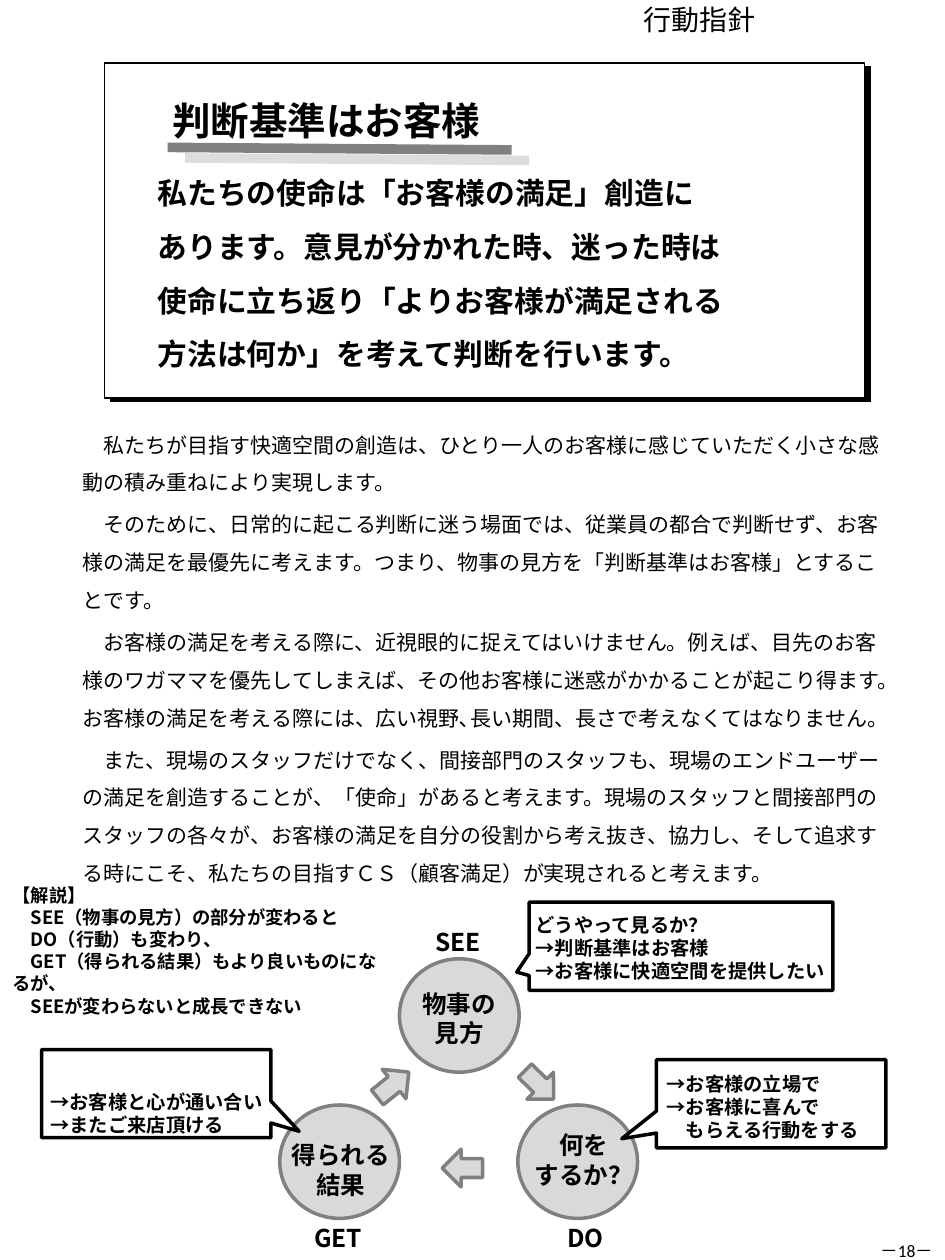
import pptx
import pptx.util
from pptx.dml.color import RGBColor
from pptx.enum.shapes import MSO_CONNECTOR, MSO_SHAPE
from pptx.enum.text import MSO_AUTO_SIZE, PP_ALIGN
from pptx.oxml import parse_xml
from pptx.oxml.ns import nsdecls, qn
from pptx.util import Inches, Pt

BLACK = RGBColor(0, 0, 0)
WHITE = RGBColor(255, 255, 255)
GRAY = RGBColor(0x80, 0x80, 0x80)
LIGHT = RGBColor(0xD9, 0xD9, 0xD9)
JP = "Noto Sans CJK JP"


class Sheet:
    def __init__(self, prs):
        self.s = prs.slides.add_slide(prs.slide_layouts[6])

    def shape(self, kind, x, y, w, h, fill=WHITE, line=BLACK, width=2,
              rotation=0, adj=()):
        sp = self.s.shapes.add_shape(
            kind, Inches(x), Inches(y), Inches(w), Inches(h))
        sp.shadow.inherit = False
        sp.fill.solid()
        sp.fill.fore_color.rgb = fill
        sp.line.color.rgb = line
        sp.line.width = Pt(width)
        sp.rotation = rotation
        for i, value in enumerate(adj):
            sp.adjustments[i] = value
        return sp

    def text(self, x, y, w, h, lines, size, bold=True, align=PP_ALIGN.LEFT,
             font=JP, wrap=False, inset=False, before=0, spacing=None):
        """Add a text box; before is the space above, in percent of a line."""
        sp = self.s.shapes.add_textbox(
            Inches(x), Inches(y), Inches(w), Inches(h))
        tf = sp.text_frame
        tf.word_wrap = wrap
        tf.auto_size = MSO_AUTO_SIZE.SHAPE_TO_FIT_TEXT
        if not inset:
            tf.margin_left = tf.margin_right = 0
            tf.margin_top = tf.margin_bottom = 0
        tf.text = "\n".join(lines)
        for p in tf.paragraphs:
            p.alignment = align
            if spacing:
                p.line_spacing = spacing
            if before:
                self.space_before(p, before)
            p.font.size = Pt(size)
            p.font.bold = bold
            p.font.color.rgb = BLACK
            p.font.name = font
            latin = p._p.pPr.find(qn("a:defRPr")).find(qn("a:latin"))
            latin.addnext(parse_xml(
                f'<a:ea {nsdecls("a")} typeface="{font}"/>'))

    def space_before(self, p, percent):
        p.space_before = Pt(0)
        spc = p._p.pPr.find(qn("a:spcBef"))
        spc.remove(spc[0])
        spc.append(parse_xml(
            f'<a:spcPct {nsdecls("a")} val="{percent * 1000}"/>'))

    def shadowed_line(self, x1, y1, x2, y2):
        ln = self.s.shapes.add_connector(
            MSO_CONNECTOR.STRAIGHT,
            Inches(x1), Inches(y1), Inches(x2), Inches(y2))
        ln.line.color.rgb = GRAY
        ln.line.width = Pt(5.5)
        ln._element.spPr.append(parse_xml(
            f'<a:effectLst {nsdecls("a")}>'
            f'<a:outerShdw dist="{Pt(11.7)}" dir="{31 * 60000}" algn="ctr" '
            'rotWithShape="0"><a:srgbClr val="DDDDDD"/></a:outerShdw>'
            '</a:effectLst>'))

    def callout(self, x, y, w, adj):
        self.shape(MSO_SHAPE.RECTANGULAR_CALLOUT, x, y, w, 0.7, adj=adj)


def main():
    prs = pptx.Presentation()
    prs.slide_width, prs.slide_height = Inches(7.5), Inches(10)
    sheet = Sheet(prs)

    sheet.text(5.01, -0.03, 2.47, 0.37, ["行動指針"], 16, bold=False,
               align=PP_ALIGN.JUSTIFY, wrap=True, inset=True)

    # Framed guideline
    for x, y, fill in ((0.88, 0.53, BLACK), (0.83, 0.5, WHITE)):
        sheet.shape(MSO_SHAPE.RECTANGLE, x, y, 6.03, 2.66, fill, width=0.75)
    sheet.shadowed_line(1.33, 1.17, 4.06, 1.19)
    sheet.text(1.37, 0.77, 2.47, 0.37, ["判断基準はお客様"], 22)
    sheet.text(1.25, 1.39, 5.17, 1.66, [
        "私たちの使命は「お客様の満足」創造に",
        "あります。意見が分かれた時、迷った時は",
        "使命に立ち返り「よりお客様が満足される",
        "方法は何か」を考えて判断を行います。",
    ], 17, wrap=True, before=60)

    sheet.text(0.56, 3.28, 6.61, 3.52, [
        "　私たちが目指す快適空間の創造は、ひとり一人のお客様に感じていただく"
        "小さな感動の積み重ねにより実現します。",
        "　そのために、日常的に起こる判断に迷う場面では、従業員の都合で判断せず、"
        "お客様の満足を最優先に考えます。つまり、物事の見方を"
        "「判断基準はお客様」とすることです。",
        "　お客様の満足を考える際に、近視眼的に捉えてはいけません。例えば、"
        "目先のお客様のワガママを優先してしまえば、その他お客様に迷惑がかかることが"
        "起こり得ます。お客様の満足を考える際には、広い視野､長い期間、"
        "長さで考えなくてはなりません。",
        "　また、現場のスタッフだけでなく、間接部門のスタッフも、現場の"
        "エンドユーザーの満足を創造することが、「使命」があると考えます。"
        "現場のスタッフと間接部門のスタッフの各々が、お客様の満足を自分の役割から"
        "考え抜き、協力し、そして追求する時にこそ、私たちの目指すＣＳ（顧客満足）が"
        "実現されると考えます。",
    ], 12, bold=False, wrap=True, inset=True, before=20, spacing=1.5)

    sheet.text(0.1, 7.02, 2.91, 0.88, [
        "【解説】",
        "　SEE（物事の見方）の部分が変わると",
        "　DO（行動）も変わり、",
        "　GET（得られる結果）もより良いものになるが、",
        "　SEEが変わらないと成長できない",
    ], 10.5, wrap=True)

    # Cycle: callouts lie under the circles' text, the first under its circle
    sheet.callout(4.2, 7.16, 2.41, (-0.541, 0.294))
    for x, y in ((3.17, 7.61), (2.22, 8.77), (4.11, 8.77)):
        sheet.shape(MSO_SHAPE.OVAL, x, y, 0.95, 0.9, LIGHT, GRAY)
    for x, y, angle in ((4.12, 8.46, 44.6), (3.51, 9.12, 180),
                        (2.96, 8.46, 321.1)):
        sheet.shape(MSO_SHAPE.RIGHT_ARROW, x, y, 0.32, 0.3, LIGHT, GRAY,
                    rotation=angle)
    sheet.callout(5.21, 8.41, 1.82, (-0.651, 0.397))
    sheet.callout(0.33, 8.33, 1.82, (0.623, 0.427))

    for x, y, w, h, lines in (
        (3.35, 7.85, 0.59, 0.47, ["物事の", "見方"]),
        (4.24, 8.97, 0.79, 0.47, ["何を", "するか？"]),
        (2.31, 9.05, 0.79, 0.47, ["得られる", "結果"]),
        (3.44, 7.36, 0.39, 0.24, ["SEE"]),
        (4.49, 9.71, 0.31, 0.24, ["DO"]),
        (2.48, 9.71, 0.41, 0.24, ["GET"]),
    ):
        sheet.text(x, y, w, h, lines, 14, align=PP_ALIGN.CENTER)

    for x, y, w, h, lines in (
        (4.25, 7.25, 2.31, 0.56, ["どうやって見るか？", "→判断基準はお客様",
                                  "→お客様に快適空間を提供したい"]),
        (5.29, 8.51, 1.54, 0.56, ["→お客様の立場で", "→お客様に喜んで",
                                  "　もらえる行動をする"]),
        (0.4, 8.65, 1.7, 0.37, ["→お客様と心が通い合い",
                                "→またご来店頂ける"]),
    ):
        sheet.text(x, y, w, h, lines, 11)

    sheet.text(6.9, 9.84, 0.59, 0.17, ["－18－"], 10, bold=False,
               align=PP_ALIGN.CENTER, font="Calibri", wrap=True)
    prs.save("out.pptx")


if __name__ == "__main__":
    main()
